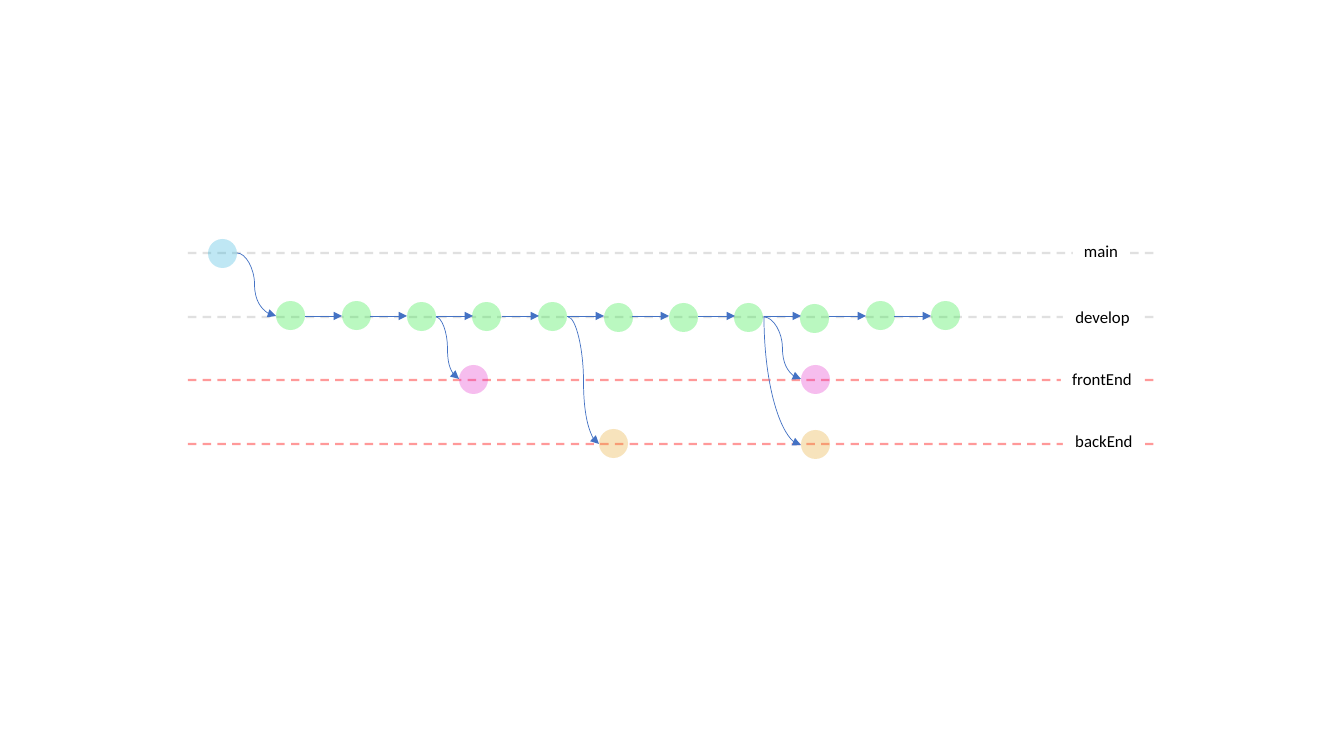
"""Builds a slide showing commits and merges across four code branches."""
from dataclasses import dataclass

from lxml import etree
from pptx import Presentation
from pptx.dml.color import RGBColor
from pptx.enum.dml import MSO_LINE
from pptx.enum.shapes import MSO_CONNECTOR, MSO_SHAPE
from pptx.enum.text import PP_ALIGN
from pptx.oxml.ns import qn
from pptx.shapes.shapetree import GroupShapes
from pptx.util import Pt

STRAIGHT = MSO_CONNECTOR.STRAIGHT
CURVE = MSO_CONNECTOR.CURVE
DASH = MSO_LINE.DASH
OVAL = MSO_SHAPE.OVAL
RECTANGLE = MSO_SHAPE.RECTANGLE
CENTER = PP_ALIGN.CENTER
EMU_PER_PIXEL = 914400 / 100.8


def px(length):
    return round(length * EMU_PER_PIXEL)


def rgb(value):
    return RGBColor.from_string(value)


def set_opacity(element, percent):
    for color in element.spPr.iter(qn("a:srgbClr")):
        etree.SubElement(color, qn("a:alpha"), val=str(percent * 1000))


@dataclass
class BranchDiagram:
    shapes: GroupShapes
    font: str = "Calibri"
    text_size: int = 12
    text_color: str = "000000"
    label_fill: str = "FFFFFF"
    arrow_color: str = "4472C4"
    dot_size: int = 29

    def connector(self, kind, start, end, color, width):
        line = self.shapes.add_connector(kind, *map(px, (*start, *end)))
        line.line.color.rgb = rgb(color)
        line.line.width = Pt(width)
        etree.SubElement(line.element.spPr, qn("a:effectLst"))
        return line

    def branch(self, y, color):
        line = self.connector(STRAIGHT, (188, y), (1156, y), color, 1.5)
        line.line.dash_style = DASH
        set_opacity(line.element, 40)

    def arrow(self, start, end, kind=STRAIGHT):
        line = self.connector(kind, start, end, self.arrow_color, 0.5)
        etree.SubElement(line.get_or_add_ln(), qn("a:tailEnd"), type="triangle")
        return line

    def curve(self, start, end, bend=50):
        geometry = self.arrow(start, end, CURVE).element.spPr.find(qn("a:prstGeom"))
        etree.SubElement(geometry.find(qn("a:avLst")), qn("a:gd"),
                         name="adj1", fmla=f"val {bend * 1000}")

    def drop_curve(self, start, end):
        across, down = end[0] - start[0], end[1] - start[1]
        left = (start[0] + end[0] - down) / 2
        top = (start[1] + end[1] - across) / 2
        line = self.arrow((left, top), (left + down, top + across), CURVE)
        properties = line.element.spPr
        properties.find(qn("a:prstGeom")).set("prst", "curvedConnector2")
        frame = properties.find(qn("a:xfrm"))
        frame.set("rot", "16200000")
        frame.set("flipH", "1")

    def filled_shape(self, kind, left, top, width, height, color):
        shape = self.shapes.add_shape(kind, *map(px, (left, top, width, height)))
        shape.shadow.inherit = False
        shape.fill.solid()
        shape.fill.fore_color.rgb = rgb(color)
        shape.line.fill.background()
        return shape

    def commit(self, left, top, color):
        dot = self.filled_shape(OVAL, left, top, self.dot_size, self.dot_size, color)
        set_opacity(dot.element, 30)

    def label(self, text, left, top, width):
        box = self.filled_shape(RECTANGLE, left, top, width, 30, self.label_fill)
        box.text_frame.word_wrap = False
        para = box.text_frame.paragraphs[0]
        para.text = text
        para.alignment = CENTER
        para.font.name = self.font
        para.font.size = Pt(self.text_size)
        para.font.color.rgb = rgb(self.text_color)


BRANCHES = [(253, "B2B2B2"), (317, "B2B2B2"), (380, "FF0000"), (444, "FF0000")]
LABELS = [("main", 1073, 236, 56), ("develop", 1063, 302, 79),
          ("frontEnd", 1061, 364, 82), ("backEnd", 1063, 426, 82)]
COMMIT_STEP = 65.5
DEVELOP_TOPS = [301, 301, 302, 302, 302, 303, 303, 303, 304, 301, 301]
COMMITS = {
    "2DB2DB": [(208, 239)],
    "1DEB31": [(round(276 + COMMIT_STEP * index), top)
               for index, top in enumerate(DEVELOP_TOPS)],
    "E325C8": [(459, 365), (801, 365)],
    "E6A522": [(599, 429), (801, 430)],
}
CURVES = [((237, 253), (276, 316), 45), ((436, 317), (459, 379), 50),
          ((568, 317), (599, 444), 50), ((764, 317), (801, 379), 50)]
ARROW_LENGTH = 37
ARROW_Y = 316

deck = Presentation()
deck.slide_width, deck.slide_height = px(1344), px(756)
page = deck.slides.add_slide(deck.slide_layouts[6])
diagram = BranchDiagram(page.shapes.add_group_shape().shapes)

for y, color in BRANCHES:
    diagram.branch(y, color)
for label in LABELS:
    diagram.label(*label)
for color, places in COMMITS.items():
    for left, top in places:
        diagram.commit(left, top, color)
for curve in CURVES:
    diagram.curve(*curve)
diagram.drop_curve((764, 316), (801, 445))
for index in range(len(DEVELOP_TOPS) - 1):
    x = round(305 + COMMIT_STEP * index)
    diagram.arrow((x, ARROW_Y), (x + ARROW_LENGTH, ARROW_Y))

deck.save("out.pptx")
